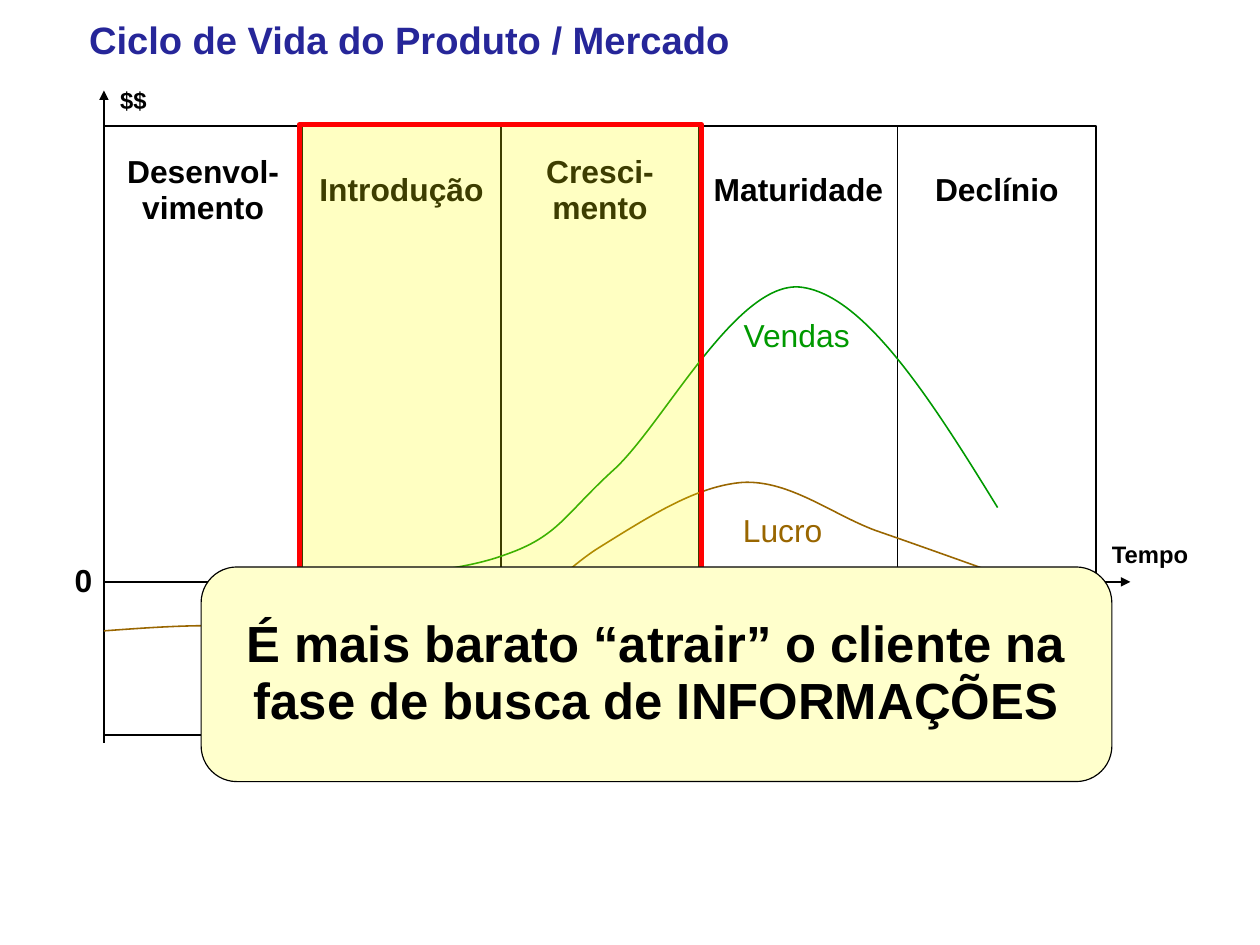
from dataclasses import dataclass

from lxml.etree import SubElement
from pptx import Presentation
from pptx.dml.color import RGBColor
from pptx.enum.shapes import MSO_CONNECTOR, MSO_SHAPE
from pptx.enum.text import MSO_ANCHOR, MSO_AUTO_SIZE, PP_ALIGN
from pptx.oxml.ns import qn
from pptx.util import Cm, Pt


@dataclass(frozen=True)
class Theme:
    font: str = "Arial"
    title: str = "262699"
    ink: str = "000000"
    paper: str = "FFFFFF"
    sales: str = "009900"
    profit: str = "996600"
    highlight: str = "FFFF00"
    frame: str = "FF0000"
    callout: str = "FFFFCC"
    title_size: int = 24
    axis_size: int = 15
    label_size: int = 20
    callout_size: int = 32


THEME = Theme()

# Chart geometry in centimetres
LEFT, TOP = 2.31, 2.8
PHASE_W, PHASE_H = 4.41, 13.54
ZERO_Y = 12.93
PHASES = ["Desenvol-vimento", "Introdução", "Cresci-mento", "Maturidade", "Declínio"]

# Bezier points: a start, then two controls and an end per segment
SALES = [
    (6.71, 12.88),
    (8.41, 12.8), (10.11, 12.75), (11.25, 12.32),
    (12.42, 11.91), (12.55, 11.43), (13.64, 10.44),
    (14.73, 9.45), (16.36, 6.25), (17.78, 6.38),
    (19.2, 6.53), (20.7, 8.89), (22.17, 11.28),
]
PROFIT = [
    (2.31, 14.02),
    (3.68, 13.92), (5.05, 13.82), (6.22, 14.02),
    (7.39, 14.22), (8.13, 15.6), (9.3, 15.27),
    (10.49, 14.96), (12.09, 12.95), (13.28, 12.19),
    (14.5, 11.43), (15.49, 10.8), (16.51, 10.72),
    (17.55, 10.67), (18.49, 11.43), (19.46, 11.79),
    (20.42, 12.12), (21.89, 12.65), (22.4, 12.83),
]


def rgb(color):
    return RGBColor.from_string(color)


def set_line(sp, color, width):
    sp.line.color.rgb = rgb(color)
    sp.line.width = Pt(width)


def write(sp, text, size, color=THEME.ink, bold=True, align=PP_ALIGN.LEFT,
          anchor=MSO_ANCHOR.TOP, wrap=False, insets=(0.2, 0.15), spacing=0.93):
    tf = sp.text_frame
    tf.word_wrap = wrap
    tf.auto_size = MSO_AUTO_SIZE.NONE if wrap else MSO_AUTO_SIZE.SHAPE_TO_FIT_TEXT
    tf.vertical_anchor = anchor
    tf.margin_left = tf.margin_right = Cm(0.28)
    tf.margin_top, tf.margin_bottom = map(Cm, insets)
    p = tf.paragraphs[0]
    p.alignment = align
    p.line_spacing = spacing
    r = p.add_run()
    r.text = text
    r.font.name = THEME.font
    r.font.size = Pt(size)
    r.font.bold = bold
    r.font.color.rgb = rgb(color)


def add_text(s, box, text, size, **style):
    write(s.shapes.add_textbox(*map(Cm, box)), text, size, **style)


def add_box(s, box, fill, line, width, kind=MSO_SHAPE.RECTANGLE, alpha=None):
    sp = s.shapes.add_shape(kind, *map(Cm, box))
    sp.shadow.inherit = False
    sp.fill.solid()
    sp.fill.fore_color.rgb = rgb(fill)
    if alpha is not None:
        clr = sp._element.spPr.find(f"{qn('a:solidFill')}/{qn('a:srgbClr')}")
        SubElement(clr, qn("a:alpha"), val=str(alpha * 1000))
    set_line(sp, line, width)
    return sp


def add_axis(s, *ends):
    axis = s.shapes.add_connector(MSO_CONNECTOR.STRAIGHT, *map(Cm, ends))
    set_line(axis, THEME.ink, 1)
    sp_pr = axis._element.spPr
    SubElement(sp_pr.find(qn("a:ln")), qn("a:tailEnd"), type="triangle")
    SubElement(sp_pr, qn("a:effectLst"))


def add_curve(s, points, color):
    start, *rest = [(Cm(x), Cm(y)) for x, y in points]
    builder = s.shapes.build_freeform(*start)
    builder.add_line_segments(rest, close=False)
    sp = builder.convert_to_shape()
    # Turn each three straight segments into one cubic segment
    segments = list(sp._element.iter(qn("a:lnTo")))
    outline = segments[0].getparent()
    for i in range(0, len(segments), 3):
        cubic = SubElement(outline, qn("a:cubicBezTo"))
        for segment in segments[i:i + 3]:
            cubic.append(segment[0])
            outline.remove(segment)
    sp.shadow.inherit = False
    sp.fill.background()
    set_line(sp, color, 1)


def main():
    prs = Presentation()
    prs.slide_width, prs.slide_height = Cm(28), Cm(21)
    s = prs.slides.add_slide(prs.slide_layouts[6])

    # Title
    add_text(s, (1.7, 0.04, 25.6, 1.65), "Ciclo de Vida do Produto / Mercado",
             THEME.title_size, color=THEME.title, anchor=MSO_ANCHOR.MIDDLE,
             wrap=True, insets=(0.15, 0.15), spacing=1.01)

    # Phase columns and axes
    lefts = [LEFT + i * PHASE_W for i in range(len(PHASES))]
    for x in lefts:
        add_box(s, (x, TOP, PHASE_W, PHASE_H), THEME.paper, THEME.ink, 1)
    add_axis(s, LEFT, 16.51, LEFT, 2.01)
    add_axis(s, LEFT, ZERO_Y, 25.12, ZERO_Y)

    # Axis labels and phase names
    for x, y, width, label in [(2.39, 1.8, 1.17, "$$"), (24.43, 11.89, 2.28, "Tempo")]:
        add_text(s, (x, y, width, 0.91), label, THEME.axis_size, insets=(0.17, 0.15))
    for x, phase in zip(lefts, PHASES):
        add_text(s, (x, 3.66, PHASE_W, 1.12), phase, THEME.label_size,
                 align=PP_ALIGN.CENTER, anchor=MSO_ANCHOR.MIDDLE, wrap=True,
                 insets=(0.3, 0.25))
    add_text(s, (1.37, 12.34, 0.97, 1.14), "0", THEME.label_size, align=PP_ALIGN.CENTER)

    # Sales and profit curves
    add_curve(s, SALES, THEME.sales)
    add_curve(s, PROFIT, THEME.profit)
    add_text(s, (16.23, 6.89, 2.95, 1.14), "Vendas", THEME.label_size,
             color=THEME.sales, bold=False, align=PP_ALIGN.CENTER)
    add_text(s, (16.23, 11.23, 2.34, 1.14), "Lucro", THEME.label_size,
             color=THEME.profit, bold=False)

    # Highlighted phases and message
    add_box(s, (6.65, 2.77, 8.94, 13.89), THEME.highlight, THEME.frame, 3, alpha=24)
    message = add_box(s, (4.47, 12.6, 20.24, 4.77), THEME.callout, THEME.ink, 0.75,
                      kind=MSO_SHAPE.ROUNDED_RECTANGLE)
    write(message, "É mais barato “atrair” o cliente na fase de busca de INFORMAÇÕES",
          THEME.callout_size, align=PP_ALIGN.CENTER, anchor=MSO_ANCHOR.MIDDLE,
          wrap=True, insets=(0.15, 0.15))

    prs.save("out.pptx")


if __name__ == "__main__":
    main()
